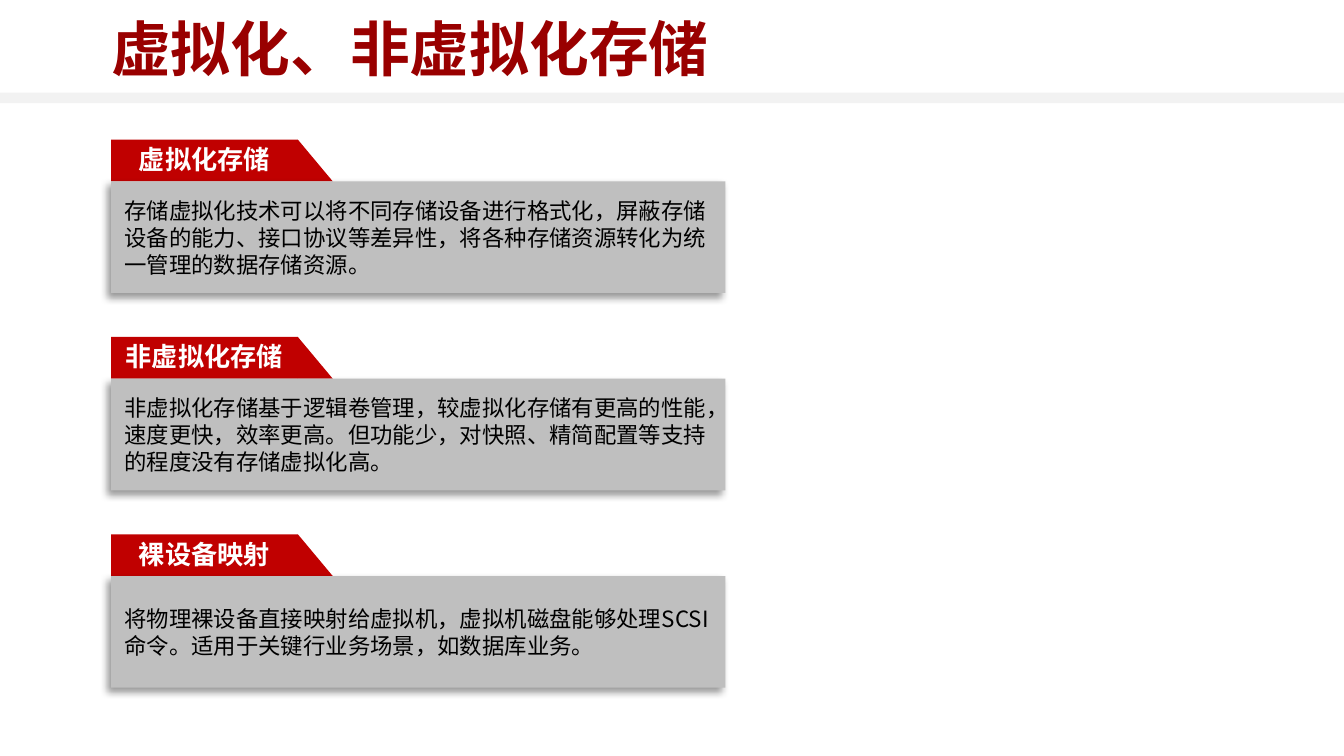
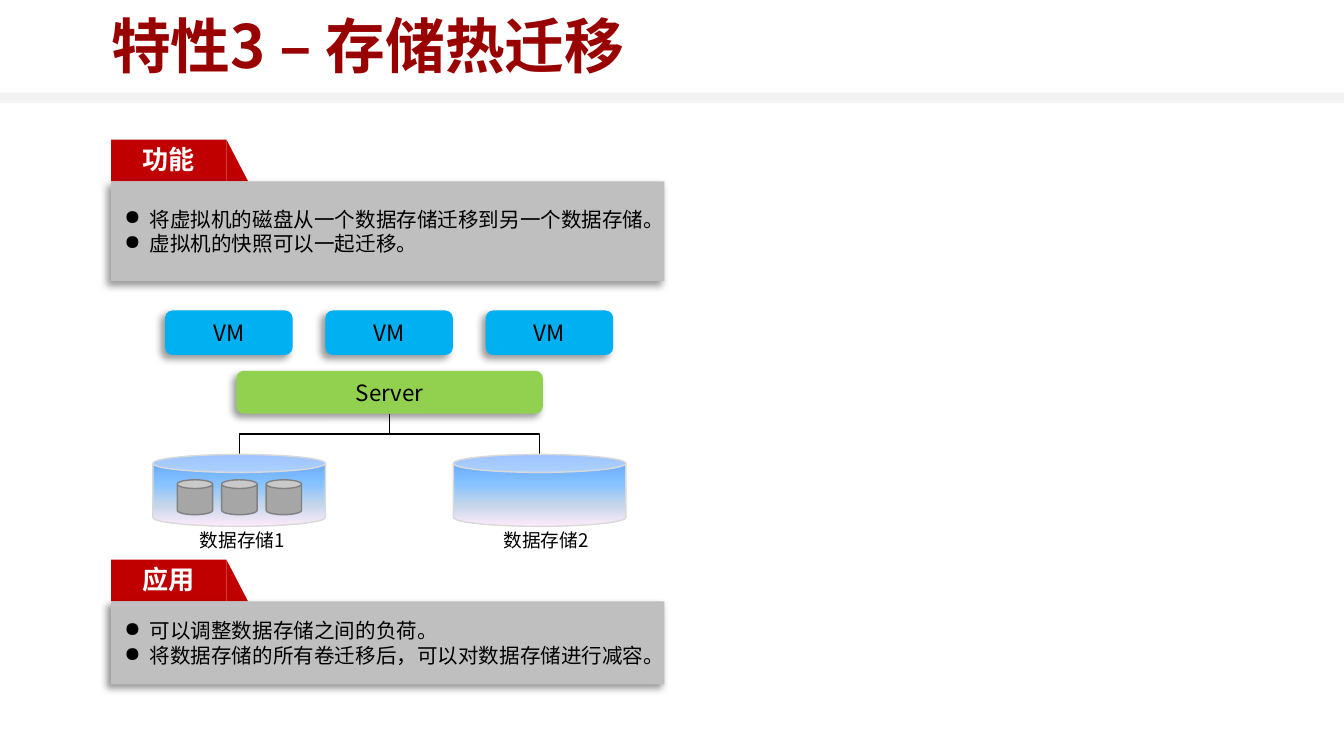
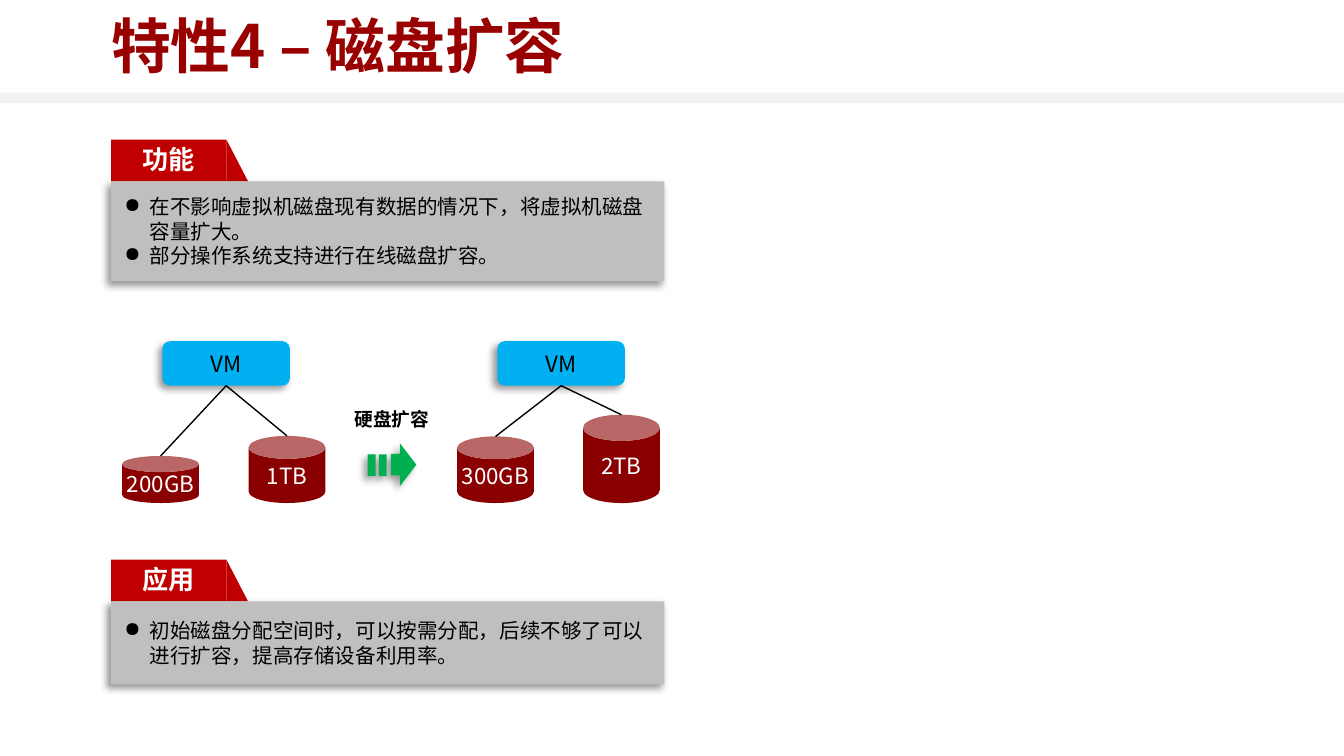
from dataclasses import dataclass
from typing import Optional

from lxml.etree import SubElement
from pptx import Presentation
from pptx.dml.color import RGBColor
from pptx.enum.shapes import MSO_CONNECTOR, MSO_SHAPE
from pptx.enum.text import MSO_ANCHOR, MSO_AUTO_SIZE, PP_ALIGN
from pptx.oxml.ns import qn
from pptx.util import Cm, Pt

TITLE_RED = RGBColor(0x99, 0x00, 0x00)
TAB_RED = RGBColor(0xC0, 0x00, 0x00)
DISK_RED = RGBColor(0x8A, 0x00, 0x00)
BAND_GREY = RGBColor(0xF2, 0xF2, 0xF2)
BODY_GREY = RGBColor(0xBF, 0xBF, 0xBF)
EDGE_GREY = RGBColor(0xD9, 0xD9, 0xD9)
VOLUME_GREY = RGBColor(0xA6, 0xA6, 0xA6)
VOLUME_EDGE = RGBColor(0x80, 0x80, 0x80)
VM_BLUE = RGBColor(0x00, 0xB0, 0xF0)
SERVER_GREEN = RGBColor(0x92, 0xD0, 0x50)
ARROW_GREEN = RGBColor(0x00, 0xB0, 0x50)
BLACK = RGBColor(0x00, 0x00, 0x00)
WHITE = RGBColor(0xFF, 0xFF, 0xFF)
STORE_GRADIENT = ((0, "5E9EFF"), (40, "85C2FF"), (70, "C4D6EB"), (100, "FFEBFA"))

CJK = "Noto Sans CJK SC"
LATIN = "Arial"
LEFT = 2.1
TAB_H = 0.79
VM_W, VM_H = 2.41, 0.84


@dataclass(frozen=True)
class Box:
    """A rectangle in centimetres."""
    x: float
    y: float
    w: float
    h: float

    @property
    def mid(self) -> float:
        return self.x + self.w / 2

    @property
    def bottom(self) -> float:
        return self.y + self.h

    def lengths(self) -> tuple:
        return Cm(self.x), Cm(self.y), Cm(self.w), Cm(self.h)


@dataclass(frozen=True)
class TextStyle:
    size: float
    color: RGBColor = BLACK
    bold: bool = False
    font: str = CJK
    align: PP_ALIGN = PP_ALIGN.LEFT


@dataclass(frozen=True)
class PanelStyle:
    """Widths of a tab, its slanted end and the panel below, and the text in it."""
    tab_w: float
    slant_w: float
    body_w: float
    size: float
    bulleted: bool


@dataclass(frozen=True)
class Panel:
    heading: str
    y: float
    body_h: float
    lines: tuple


@dataclass(frozen=True)
class Disk:
    label: str
    x: float
    h: float


TITLE = TextStyle(32, TITLE_RED, True)
HEADING = TextStyle(14, WHITE, True, LATIN, PP_ALIGN.CENTER)
NODE = TextStyle(12, align=PP_ALIGN.CENTER)
DISK = TextStyle(12, WHITE, align=PP_ALIGN.CENTER)
CAPTION = TextStyle(10)
STEP = TextStyle(10, bold=True, align=PP_ALIGN.CENTER)

WIDE = PanelStyle(3.53, 0.66, 11.61, 12, False)
NARROW = PanelStyle(2.18, 0.41, 10.46, 11, True)
FUNCTION_Y, USE_Y = 2.64, 10.58


def add_bullet(p) -> None:
    pPr = p._p.get_or_add_pPr()
    pPr.set("marL", str(Cm(0.48)))
    pPr.set("indent", str(-Cm(0.48)))
    SubElement(pPr, qn("a:buChar")).set("char", "●")


def write(tf, lines: tuple, style: TextStyle, bulleted: bool = False) -> None:
    for i, line in enumerate(lines):
        p = tf.add_paragraph() if i else tf.paragraphs[0]
        p.alignment = style.align
        if bulleted:
            add_bullet(p)
        r = p.add_run()
        r.text = line
        r.font.size = Pt(style.size)
        r.font.bold = style.bold
        r.font.color.rgb = style.color
        r.font.name = style.font
        SubElement(r._r.get_or_add_rPr(), qn("a:ea")).set("typeface", CJK)


def add_shadow(sp) -> None:
    effects = sp._element.spPr.find(qn("a:effectLst"))
    shadow = SubElement(effects, qn("a:outerShdw"), blurRad=str(Pt(4)), dist=str(Pt(3)),
                        dir="8100000", algn="tr", rotWithShape="0")
    color = SubElement(shadow, qn("a:srgbClr"), val="000000")
    SubElement(color, qn("a:alpha"), val="40000")


def add_block(shapes, kind: MSO_SHAPE, box: Box, fill: RGBColor,
              line: Optional[RGBColor] = None, shadow: bool = False):
    sp = shapes.add_shape(kind, *box.lengths())
    sp.shadow.inherit = False
    sp.fill.solid()
    sp.fill.fore_color.rgb = fill
    if line is None:
        sp.line.fill.background()
    else:
        sp.line.color.rgb = line
        sp.line.width = Pt(0.75)
    if shadow:
        add_shadow(sp)
    return sp


def add_label(s, text: str, box: Box, style: TextStyle) -> None:
    tf = s.shapes.add_textbox(*box.lengths()).text_frame
    tf.word_wrap = True
    tf.auto_size = MSO_AUTO_SIZE.SHAPE_TO_FIT_TEXT
    write(tf, (text,), style)


def add_titled_slide(prs, title: str, title_y: float):
    s = prs.slides.add_slide(prs.slide_layouts[6])
    add_block(s.shapes, MSO_SHAPE.RECTANGLE, Box(0, 1.75, 25.4, 0.2), BAND_GREY)
    tf = s.shapes.add_textbox(*Box(LEFT, title_y, 21.2, 1.8).lengths()).text_frame
    tf.word_wrap = True
    tf.vertical_anchor = MSO_ANCHOR.MIDDLE
    tf.margin_left, tf.margin_right = Cm(0), Cm(0.23)
    tf.margin_top = tf.margin_bottom = Cm(0.1)
    write(tf, (title,), TITLE)
    return s


def add_panel(s, panel: Panel, style: PanelStyle) -> None:
    tab = s.shapes.add_group_shape().shapes
    sp = add_block(tab, MSO_SHAPE.RECTANGLE,
                   Box(LEFT, panel.y, style.tab_w, TAB_H), TAB_RED)
    sp.text_frame.vertical_anchor = MSO_ANCHOR.BOTTOM
    write(sp.text_frame, (panel.heading,), HEADING)
    add_block(tab, MSO_SHAPE.RIGHT_TRIANGLE,
              Box(LEFT + style.tab_w, panel.y, style.slant_w, TAB_H), TAB_RED)
    body = add_block(s.shapes, MSO_SHAPE.RECTANGLE,
                     Box(LEFT, panel.y + TAB_H, style.body_w, panel.body_h),
                     BODY_GREY, shadow=True)
    write(body.text_frame, panel.lines, TextStyle(style.size), style.bulleted)


def add_node(s, text: str, box: Box, fill: RGBColor):
    sp = add_block(s.shapes, MSO_SHAPE.ROUNDED_RECTANGLE, box, fill, shadow=True)
    write(sp.text_frame, (text,), NODE)
    return sp


def add_line(s, kind: MSO_CONNECTOR, x1: float, y1: float, x2: float, y2: float):
    cxn = s.shapes.add_connector(kind, Cm(x1), Cm(y1), Cm(x2), Cm(y2))
    cxn.line.color.rgb = BLACK
    cxn.line.width = Pt(0.75)
    SubElement(cxn._element.spPr, qn("a:effectLst"))
    return cxn


def add_upright_elbow(s, x1: float, y1: float, x2: float, y2: float) -> None:
    """Elbow that leaves and arrives vertically: a sideways elbow turned by 90 degrees."""
    cx, cy = (x1 + x2) / 2, (y1 + y2) / 2
    dx, dy = x1 - cx, y1 - cy
    cxn = add_line(s, MSO_CONNECTOR.ELBOW, cx + dy, cy - dx, cx - dy, cy + dx)
    cxn._element.spPr.find(qn("a:xfrm")).set("rot", "5400000")


def add_store(s, box: Box) -> None:
    sp = add_block(s.shapes, MSO_SHAPE.CAN, box, WHITE, EDGE_GREY)
    sp.fill.gradient()
    sp.fill.gradient_angle = 270
    stops = sp._element.spPr.find(qn("a:gradFill")).find(qn("a:gsLst"))
    for stop in list(stops):
        stops.remove(stop)
    for percent, color in STORE_GRADIENT:
        stop = SubElement(stops, qn("a:gs"), pos=str(percent * 1000))
        SubElement(stop, qn("a:srgbClr"), val=color)


def add_vm_with_disks(s, vm_x: float, disks: tuple) -> None:
    vm_box = Box(vm_x, 6.45, VM_W, VM_H)
    vm = add_node(s, "VM", vm_box, VM_BLUE)
    for disk in disks:
        box = Box(disk.x, 9.51 - disk.h, 1.45, disk.h)
        sp = add_block(s.shapes, MSO_SHAPE.CAN, box, DISK_RED)
        sp.adjustments[0] = 0.342
        sp.text_frame.word_wrap = False
        write(sp.text_frame, (disk.label,), DISK)
        cxn = add_line(s, MSO_CONNECTOR.STRAIGHT, vm_box.mid, vm_box.bottom, box.mid, box.y)
        cxn.begin_connect(vm, 2)


def build_storage_types(prs) -> None:
    s = add_titled_slide(prs, "虚拟化、非虚拟化存储", 0)
    sections = (
        ("虚拟化存储", "存储虚拟化技术可以将不同存储设备进行格式化，屏蔽存储设备的能力、"
         "接口协议等差异性，将各种存储资源转化为统一管理的数据存储资源。"),
        ("非虚拟化存储", "非虚拟化存储基于逻辑卷管理，较虚拟化存储有更高的性能，速度更快，"
         "效率更高。但功能少，对快照、精简配置等支持的程度没有存储虚拟化高。"),
        ("裸设备映射", "将物理裸设备直接映射给虚拟机，虚拟机磁盘能够处理SCSI命令。"
         "适用于关键行业务场景，如数据库业务。"),
    )
    for i, (heading, text) in enumerate(sections):
        add_panel(s, Panel(heading, FUNCTION_Y + 3.73 * i, 2.11, (text,)), WIDE)


def build_feature(prs, title: str, functions: tuple, uses: tuple):
    s = add_titled_slide(prs, title, -0.05)
    add_panel(s, Panel("功能", FUNCTION_Y, 1.88, functions), NARROW)
    add_panel(s, Panel("应用", USE_Y, 1.57, uses), NARROW)
    return s


def build_migration(prs) -> None:
    s = build_feature(
        prs, "特性3 – 存储热迁移",
        ("将虚拟机的磁盘从一个数据存储迁移到另一个数据存储。", "虚拟机的快照可以一起迁移。"),
        ("可以调整数据存储之间的负荷。", "将数据存储的所有卷迁移后，可以对数据存储进行减容。"))
    server = Box(4.47, 7.01, 5.79, 0.81)
    stores = (("数据存储1", 2.89, 3.53), ("数据存储2", 8.57, 9.27))
    for name, x, label_x in stores:
        box = Box(x, 8.59, 3.26, 1.36)
        add_upright_elbow(s, box.mid, box.y, server.mid, server.bottom)
        add_store(s, box)
        add_label(s, name, Box(label_x, 9.88, 2.34, 0.69), CAPTION)
    for i in range(3):
        add_node(s, "VM", Box(3.12 + 3.03 * i, 5.87, VM_W, VM_H), VM_BLUE)
    add_node(s, "Server", server, SERVER_GREEN)
    volumes = s.shapes.add_group_shape().shapes
    for i in range(3):
        add_block(volumes, MSO_SHAPE.CAN, Box(3.35 + 0.84 * i, 9.07, 0.67, 0.66),
                  VOLUME_GREY, VOLUME_EDGE)


def build_expansion(prs) -> None:
    s = build_feature(
        prs, "特性4 – 磁盘扩容",
        ("在不影响虚拟机磁盘现有数据的情况下，将虚拟机磁盘容量扩大。",
         "部分操作系统支持进行在线磁盘扩容。"),
        ("初始磁盘分配空间时，可以按需分配，后续不够了可以进行扩容，提高存储设备利用率。",))
    add_vm_with_disks(s, 3.07, (Disk("200GB", 2.31, 0.89), Disk("1TB", 4.7, 1.27)))
    add_vm_with_disks(s, 9.4, (Disk("300GB", 8.64, 1.26), Disk("2TB", 11.02, 1.67)))
    arrow = add_block(s.shapes, MSO_SHAPE.RIGHT_ARROW, Box(7.39, 8.38, 0.48, 0.81),
                      ARROW_GREEN, shadow=True)
    arrow.adjustments[0], arrow.adjustments[1] = 0.5, 0.65
    for x in (7.16, 6.95):
        add_block(s.shapes, MSO_SHAPE.RECTANGLE, Box(x, 8.59, 0.15, 0.41),
                  ARROW_GREEN, shadow=True)
    add_label(s, "硬盘扩容", Box(6.3, 7.59, 2.21, 0.69), STEP)


def main() -> None:
    prs = Presentation()
    prs.slide_width, prs.slide_height = Cm(25.4), Cm(14.29)
    build_storage_types(prs)
    build_migration(prs)
    build_expansion(prs)
    prs.save("out.pptx")


if __name__ == "__main__":
    main()
